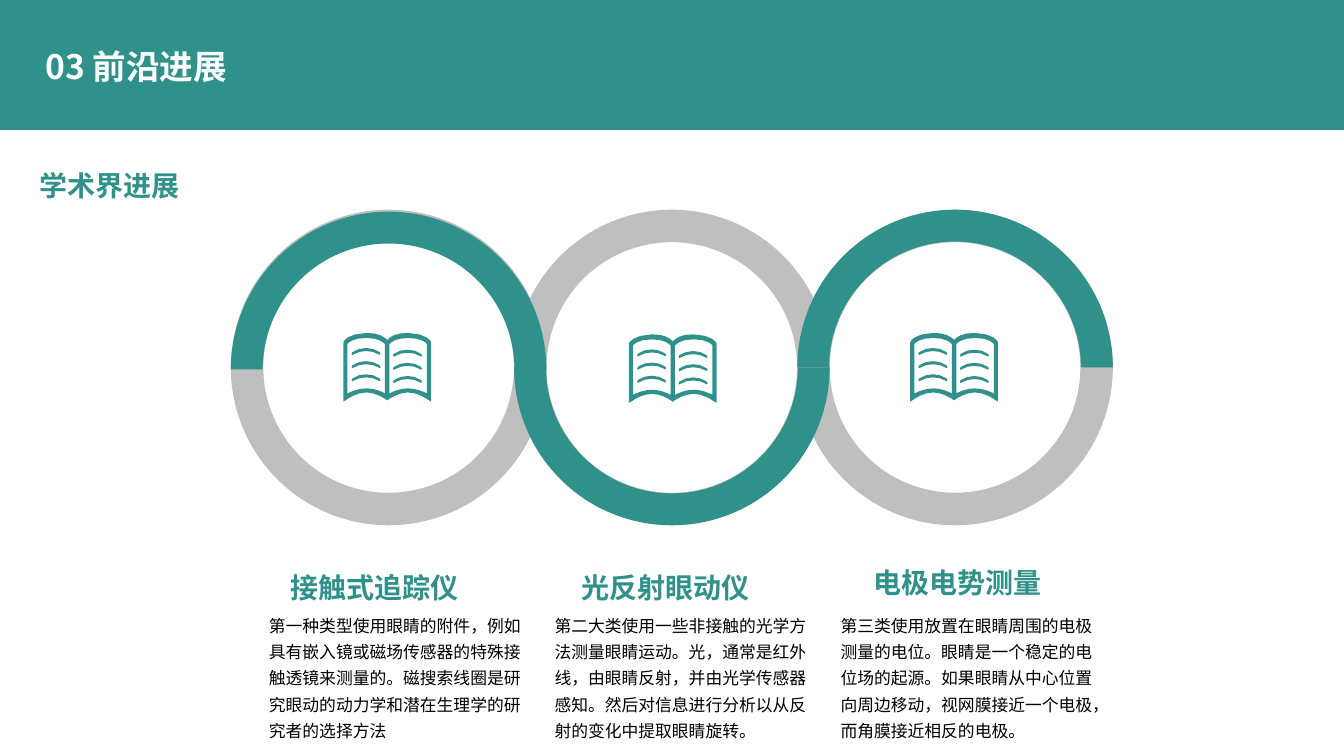
"""Build the slide on academic progress in eye tracking."""
from lxml import etree
from pptx import Presentation
from pptx.dml.color import RGBColor
from pptx.enum.shapes import MSO_SHAPE
from pptx.enum.text import MSO_ANCHOR, MSO_AUTO_SIZE, PP_ALIGN
from pptx.oxml.ns import qn
from pptx.util import Pt

RECTANGLE, DONUT, ARC = MSO_SHAPE.RECTANGLE, MSO_SHAPE.DONUT, MSO_SHAPE.BLOCK_ARC
LEFT, TOP, MIDDLE = PP_ALIGN.LEFT, MSO_ANCHOR.TOP, MSO_ANCHOR.MIDDLE
NO_FIT, GROW = MSO_AUTO_SIZE.NONE, MSO_AUTO_SIZE.SHAPE_TO_FIT_TEXT
TEAL, GREY, WHITE, BLACK = "30918B", "BFBFBF", "FFFFFF", "000000"
FONT = "Noto Sans CJK SC"


def paint(shape, colour):
    """Give a shape a flat fill without line or shadow."""
    shape.shadow.inherit = False
    shape.fill.solid()
    shape.fill.fore_color.rgb = RGBColor.from_string(colour)
    shape.line.fill.background()


def flatten(start, segments, steps=4):
    """Turn straight and cubic segments into a short list of points."""
    points = [start]
    for segment in segments:
        if len(segment) == 1:
            points += segment
            continue
        corners = [points[-1], *segment]
        for step in range(1, steps + 1):
            t = step / steps
            weights = ((1 - t) ** 3, 3 * t * (1 - t) ** 2, 3 * t * t * (1 - t), t ** 3)
            points.append(tuple(sum(w * c[axis] for w, c in zip(weights, corners)) for axis in (0, 1)))
    return points


deck = Presentation()
deck.slide_width, deck.slide_height = Pt(960), Pt(540)
page = deck.slides.add_slide(deck.slide_layouts[5])
page.background.fill.solid()
page.background.fill.fore_color.rgb = RGBColor.from_string(TEAL)

panel = page.shapes.add_shape(RECTANGLE, Pt(0), Pt(93), Pt(960), Pt(447))
paint(panel, WHITE)

RING = 225.4
ring_lefts = [164.9, 367.2, 569.5]
for left in ring_lefts:
    ring = page.shapes.add_shape(DONUT, Pt(left), Pt(149.8), Pt(RING), Pt(RING))
    ring.adjustments[0] = 0.103
    paint(ring, GREY)
for left, top, turn in zip(ring_lefts, [151.2, 149.8, 149.8], [0, 180, 0]):
    arc = page.shapes.add_shape(ARC, Pt(left), Pt(top), Pt(RING), Pt(RING))
    for index, value in enumerate([108, 0, 0.101]):
        arc.adjustments[index] = value
    arc.rotation = turn
    paint(arc, TEAL)

BOOK_WIDTH = 62.6
half_cover = flatten((31.3, 5), [
    [(29, 2.6), (25.2, 0), (16.6, 0)], [(3, 0.4), (0, 6), (0, 6.5)],
    [(0, 49)], [(2.5, 47.5)],
    [(2.5, 47.5), (9, 42.5), (16.6, 42.5)], [(23, 42.8), (27.9, 46), (29.7, 47)],
    [(31.3, 48.2)]])
left_leaf = flatten((29.7, 43.2), [
    [(26.8, 41.8), (22.3, 39.6), (16.6, 39.6)], [(10.8, 39.6), (5.8, 41.8), (2.9, 43.2)],
    [(2.9, 7.9)],
    [(3.6, 7.2), (6.5, 3.6), (16.3, 3.6)], [(25.9, 3.6), (28.8, 7.2), (29.7, 7.9)]])
text_line = flatten((6.5, 13.7), [
    [(12, 9.8), (20.4, 9.8), (25.9, 13.7)], [(26.6, 15.1)], [(25.9, 15.7)], [(25.2, 15.3)],
    [(20.2, 12.2), (12.4, 12.2), (7.4, 15.3)], [(6.5, 15.8)], [(5.8, 15.1)]])
cover = half_cover + [(BOOK_WIDTH - x, y) for x, y in reversed(half_cover[1:-1])]
right_leaf = [(BOOK_WIDTH - x, y) for x, y in left_leaf]
book_parts = [[cover, left_leaf, right_leaf]]
for shift, drop in [(0, 0), (29.6, 1.2)]:
    for row in range(3):
        book_parts.append([[(x + shift, y + drop + row * 9.4) for x, y in text_line]])

for left, top in [(245.3, 237.8), (449.3, 238.8), (650.2, 237.8)]:
    book = page.shapes.add_group_shape()
    for contours in book_parts:
        placed = [[(Pt(left + x), Pt(top + y)) for x, y in contour] for contour in contours]
        builder = book.shapes.build_freeform(*placed[0][0])
        builder.add_line_segments(placed[0][1:])
        for contour in placed[1:]:
            builder.move_to(*contour[0])
            builder.add_line_segments(contour[1:])
        paint(builder.convert_to_shape(), TEAL)

heading = {"size": Pt(20), "bold": True}
body = {"size": Pt(12), "bold": False}
texts = [
    ("学术界进展", 20.9, 109.4, 115.2, 38.9, heading, TEAL),
    ("接触式追踪仪", 200.2, 396.7, 135.4, 38.9, heading, TEAL),
    ("光反射眼动仪", 408.2, 396.7, 135.4, 38.9, heading, TEAL),
    ("电极电势测量", 616.6, 393.1, 135.4, 38.9, heading, TEAL),
    ("第一种类型使用眼睛的附件，例如具有嵌入镜或磁场传感器的特殊接触透镜来测量的。"
     "磁搜索线圈是研究眼动的动力学和潜在生理学的研究者的选择方法",
     185, 432, 198, 101.5, body, BLACK),
    ("第二大类使用一些非接触的光学方法测量眼睛运动。光，通常是红外线，由眼睛反射，"
     "并由光学传感器感知。然后对信息进行分析以从反射的变化中提取眼睛旋转。",
     389, 432, 198, 101.5, body, BLACK),
    ("第三类使用放置在眼睛周围的电极测量的电位。眼睛是一个稳定的电位场的起源。"
     "如果眼睛从中心位置向周边移动，视网膜接近一个电极，而角膜接近相反的电极。",
     593.3, 432, 198, 101.5, body, BLACK),
]
title = page.shapes.title
title.left, title.top, title.width, title.height = Pt(25.2), Pt(20.2), Pt(417.6), Pt(56.9)
entries = [(title, "03 前沿进展", {"size": Pt(24), "bold": True}, WHITE, 0.9,
            {"word_wrap": True, "auto_size": NO_FIT, "vertical_anchor": MIDDLE})]
for words, left, top, width, height, style, colour in texts:
    box = page.shapes.add_textbox(Pt(left), Pt(top), Pt(width), Pt(height))
    frame_style = {"word_wrap": style is body, "auto_size": GROW, "vertical_anchor": TOP}
    entries.append((box, words, style, colour, 1.3, frame_style))

for box, words, style, colour, spacing, frame_style in entries:
    for name, value in frame_style.items():
        setattr(box.text_frame, name, value)
    para = box.text_frame.paragraphs[0]
    para.alignment, para.line_spacing = LEFT, spacing
    span = para.add_run()
    span.text = words
    for name, value in {"name": FONT, **style}.items():
        setattr(span.font, name, value)
    span.font.color.rgb = RGBColor.from_string(colour)
    etree.SubElement(span._r.get_or_add_rPr(), qn("a:ea"), typeface=FONT)

deck.save("out.pptx")
